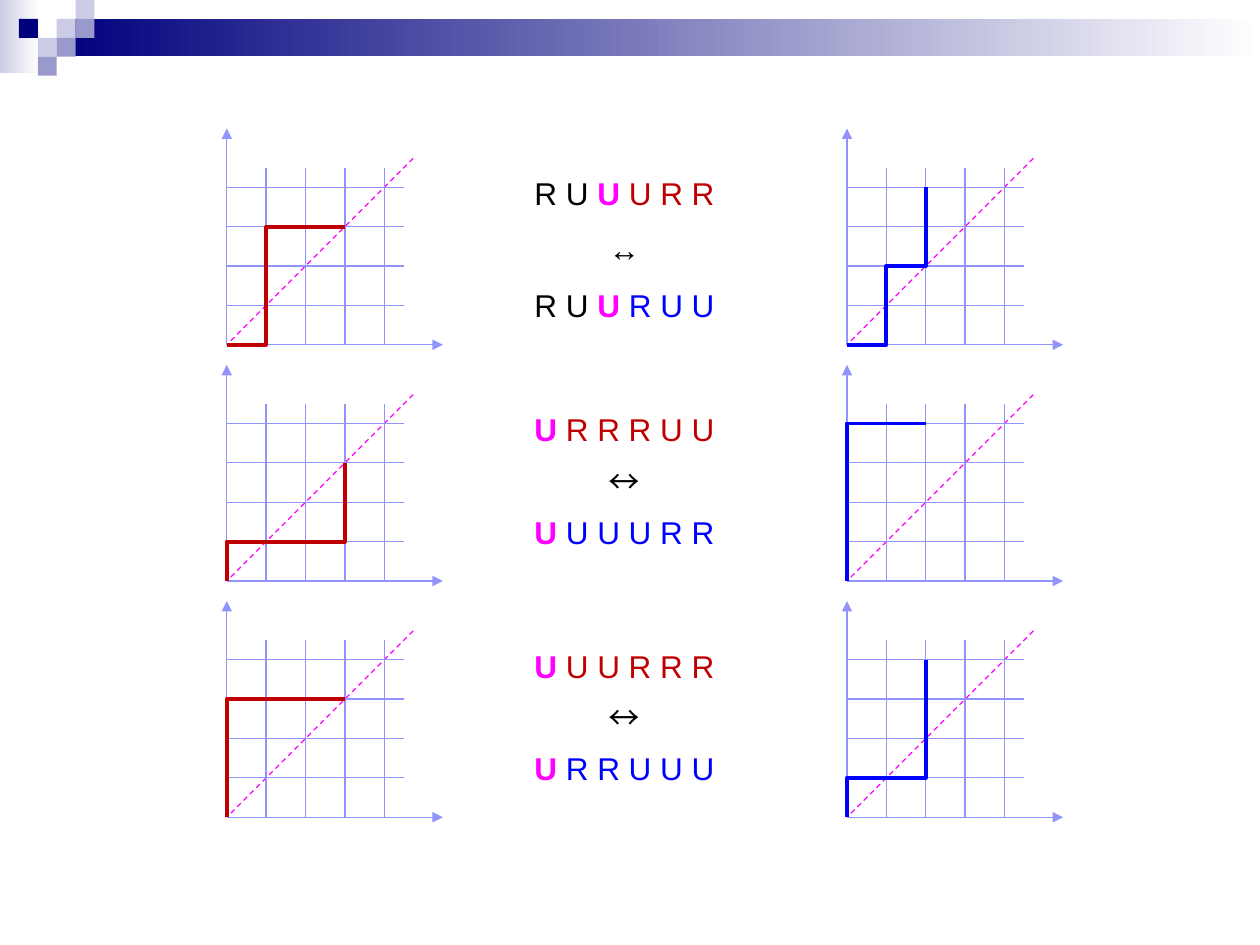
from typing import NamedTuple

from lxml import etree
from pptx import Presentation
from pptx import util as u
from pptx.dml import color
from pptx.enum import dml, shapes, text
from pptx.oxml import ns

Pt = u.Pt
NAVY, LILAC, PALE, WHITE = "00007D", "9999CC", "CCCCE6", "FFFFFF"
GRID, MAGENTA, RED, BLUE, BLACK = "9393FC", "FF00FF", "C00000", "0000FF", "000000"
STEP, GRID_LENGTH, AXIS_LENGTH, DIAGONAL = 22.5, 101, 123.5, 106.5
LEFT_X, RIGHT_X, FIRST_BASELINE, ROW_PITCH = 129.6, 484, 197, 135
SQUARE = 10.8


class Square(NamedTuple):
    col: int
    row: int
    fill: str


class Bar(NamedTuple):
    left: float
    top: float
    width: float
    height: float
    start: str


class Reflection(NamedTuple):
    before: str
    after: str
    touch: int
    arrow_font: str
    gap: float


BARS = [Bar(0, 0, 22.3, 41.8, PALE), Bar(32.4, 10.8, 687.6, 21.4, NAVY)]
SQUARES = [
    Square(3, 1, PALE), Square(4, 0, PALE), Square(4, 1, LILAC),
    Square(2, 2, PALE), Square(1, 1, NAVY), Square(3, 2, LILAC),
    Square(2, 3, LILAC),
]
REFLECTIONS = [
    Reflection("RUUURR", "RUURUU", 2, "Arial", 10.3),
    Reflection("URRRUU", "UUUURR", 0, "Noto Sans CJK KR", 7.7),
    Reflection("UUURRR", "URRUUU", 0, "Noto Sans CJK KR", 7.7),
]


def rgb(value: str) -> color.RGBColor:
    return color.RGBColor.from_string(value)


def add_box(s, left: float, top: float, width: float, height: float):
    sp = s.shapes.add_shape(shapes.MSO_SHAPE.RECTANGLE, Pt(left), Pt(top), Pt(width), Pt(height))
    sp.shadow.inherit = False
    sp.line.fill.background()
    return sp


def draw_header(s) -> None:
    for bar in BARS:
        sp = add_box(s, bar.left, bar.top, bar.width, bar.height)
        sp.fill.gradient()
        sp.fill.gradient_angle = 0
        for stop, value, position in zip(sp.fill.gradient_stops, (bar.start, WHITE), (0, 1)):
            stop.color.rgb = rgb(value)
            stop.position = position
    for square in SQUARES:
        sp = add_box(s, square.col * SQUARE, square.row * SQUARE, SQUARE, SQUARE)
        sp.fill.solid()
        sp.fill.fore_color.rgb = rgb(square.fill)


def draw_line(group, x1: float, y1: float, x2: float, y2: float,
              stroke: str = GRID, dashed: bool = False, arrow: bool = False) -> None:
    line = group.shapes.add_connector(shapes.MSO_CONNECTOR.STRAIGHT, Pt(x1), Pt(y1), Pt(x2), Pt(y2))
    line.line.width = Pt(0.75)
    line.line.color.rgb = rgb(stroke)
    if dashed:
        line.line.dash_style = dml.MSO_LINE.DASH
    properties = line._element.spPr
    if arrow:
        etree.SubElement(properties.find(ns.qn("a:ln")), ns.qn("a:tailEnd"), type="triangle")
    etree.SubElement(properties, ns.qn("a:effectLst"))


def draw_grid(group, x: float, y: float) -> None:
    draw_line(group, x + DIAGONAL, y - DIAGONAL, x, y, MAGENTA, dashed=True)
    draw_line(group, x, y, x, y - AXIS_LENGTH, arrow=True)
    draw_line(group, x, y, x + AXIS_LENGTH, y, arrow=True)
    for i in range(1, 5):
        offset = i * STEP
        draw_line(group, x + offset, y - GRID_LENGTH, x + offset, y)
        draw_line(group, x, y - offset, x + GRID_LENGTH, y - offset)


def draw_path(group, x: float, y: float, word: str, stroke: str) -> None:
    builder = group.shapes.build_freeform(Pt(x), Pt(y))
    points = []
    for i in range(1, len(word) + 1):
        right, up = word[:i].count("R"), word[:i].count("U")
        if i == len(word) or word[i] != word[i - 1]:
            points.append((Pt(x + right * STEP), Pt(y - up * STEP)))
    builder.add_line_segments(points, close=False)
    sp = builder.convert_to_shape()
    sp.shadow.inherit = False
    sp.fill.background()
    sp.line.color.rgb = rgb(stroke)
    sp.line.width = Pt(2.25)


def add_run(p, content: str, fill: str, bold: bool = False, font: str = "Arial") -> None:
    r = p.add_run()
    r.text = content
    r.font.size = Pt(18)
    r.font.name = font
    r.font.bold = bold
    r.font.color.rgb = rgb(fill)
    etree.SubElement(r.font._element, ns.qn("a:ea"), typeface=font)


def write_word(p, word: str, touch: int, fill: str) -> None:
    if touch:
        add_run(p, " ".join(word[:touch]) + " ", BLACK)
    add_run(p, word[touch] + " ", MAGENTA, bold=True)
    add_run(p, " ".join(word[touch + 1:]), fill)


def draw_words(group, y: float, item: Reflection) -> None:
    tf = group.shapes.add_textbox(Pt(286.6), Pt(y - 101), Pt(140.4), Pt(92.2)).text_frame
    tf.word_wrap = True
    first, middle, last = tf.paragraphs[0], tf.add_paragraph(), tf.add_paragraph()
    for p in (first, middle, last):
        p.alignment = text.PP_ALIGN.CENTER
    for p in (middle, last):
        p.space_before = Pt(item.gap)
    write_word(first, item.before, item.touch, RED)
    add_run(middle, "↔", BLACK, font=item.arrow_font)
    write_word(last, item.after, item.touch, BLUE)


def draw_reflection(s, y: float, item: Reflection) -> None:
    group = s.shapes.add_group_shape()
    draw_grid(group, LEFT_X, y)
    draw_grid(group, RIGHT_X, y)
    draw_path(group, LEFT_X, y, item.before, RED)
    draw_path(group, RIGHT_X, y, item.after, BLUE)
    draw_words(group, y, item)


def main() -> None:
    prs = Presentation()
    prs.slide_width, prs.slide_height = Pt(720), Pt(540)
    s = prs.slides.add_slide(prs.slide_layouts[6])
    draw_header(s)
    for row, item in enumerate(REFLECTIONS):
        draw_reflection(s, FIRST_BASELINE + row * ROW_PITCH, item)
    prs.save("out.pptx")


if __name__ == "__main__":
    main()
